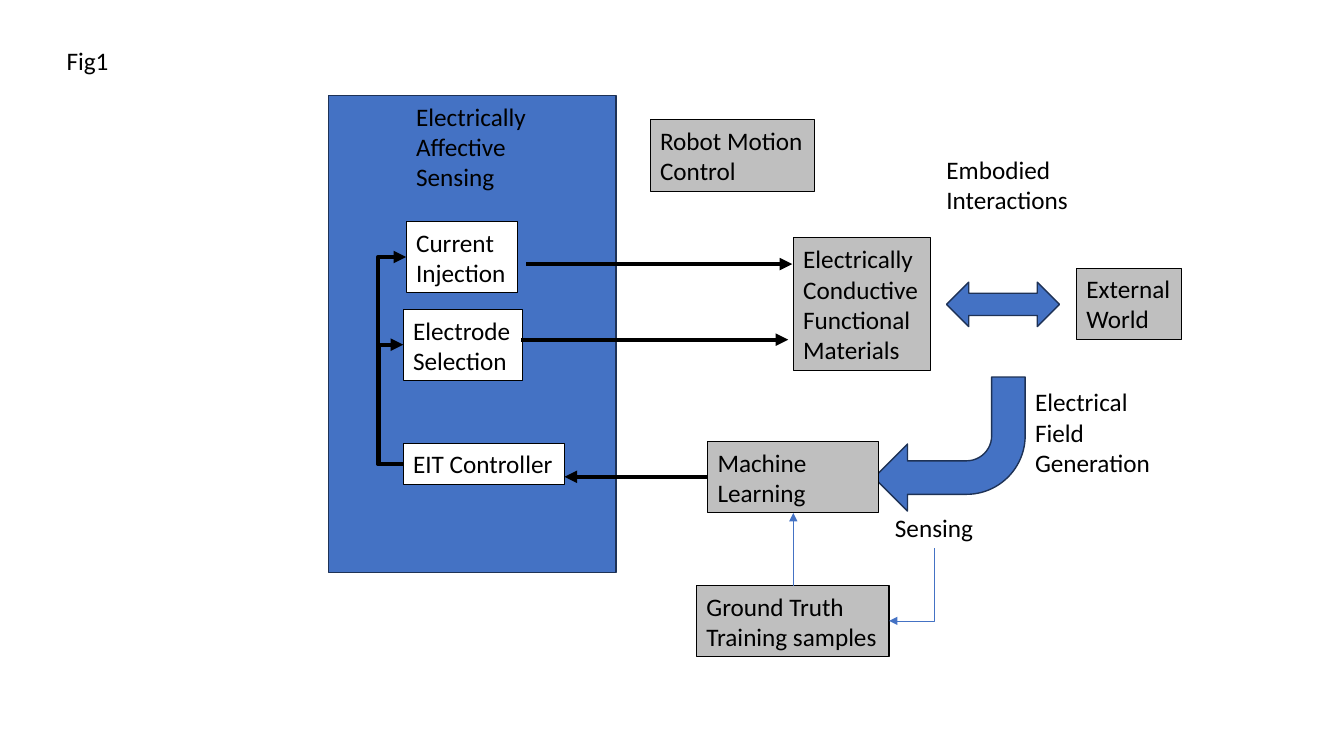
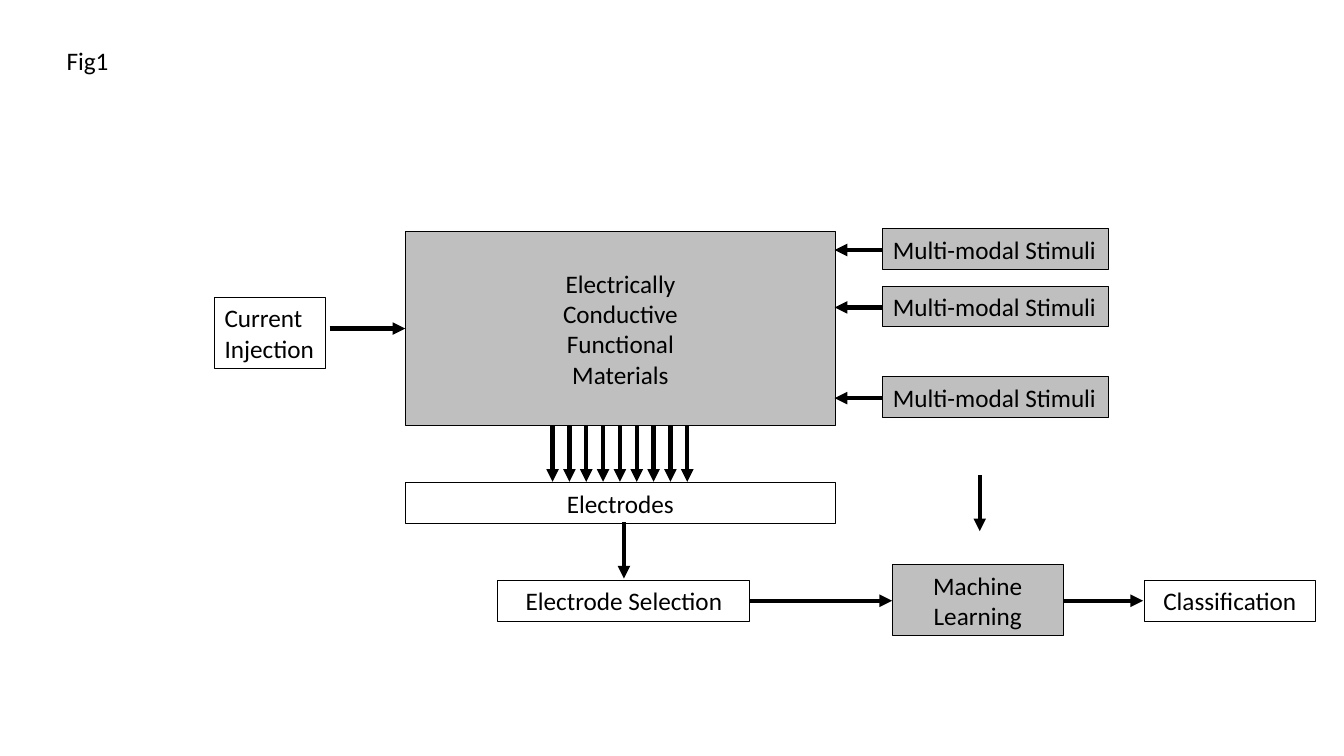
"""Draw two block diagrams of an electrically affective sensing system."""

import dataclasses
import typing

import lxml.etree
import pptx
import pptx.dml.color
import pptx.enum.shapes
import pptx.enum.text
import pptx.oxml.ns
import pptx.slide
import pptx.util

RGBColor = pptx.dml.color.RGBColor
Shape = pptx.enum.shapes.MSO_SHAPE
Align = pptx.enum.text.PP_ALIGN
qn = pptx.oxml.ns.qn

BLACK = RGBColor(0x00, 0x00, 0x00)
WHITE = RGBColor(0xFF, 0xFF, 0xFF)
GRAY = RGBColor(0xBF, 0xBF, 0xBF)
BLUE = RGBColor(0x44, 0x72, 0xC4)
NAVY = RGBColor(0x1E, 0x32, 0x56)

CELL = pptx.util.Inches(0.1)
COLUMNS, ROWS = 133.33, 75
FONT = "Calibri"
FONT_SIZE = pptx.util.Pt(18)
ONE_LINE, TWO_LINES, THREE_LINES, FOUR_LINES = 4.04, 7.07, 10.1, 13.13

Point = tuple[float, float]


@dataclasses.dataclass(frozen=True)
class Block:
    text: str
    column: float
    row: float
    width: float
    height: float = ONE_LINE
    fill: typing.Optional[RGBColor] = None
    wrap: bool = False
    align: Align = Align.LEFT


@dataclasses.dataclass(frozen=True)
class Figure:
    kind: Shape
    column: float
    row: float
    width: float
    height: float
    rotation: float = 0


@dataclasses.dataclass(frozen=True)
class Arrow:
    start: Point
    end: Point
    color: RGBColor = BLACK
    weight: float = 3
    bend: typing.Optional[float] = None
    head: str = "a:tailEnd"


def cells(*counts: float) -> list[int]:
    return [round(count * CELL) for count in counts]


def centred(text: str, column: float, row: float, width: float,
            height: float = ONE_LINE, fill: RGBColor = WHITE) -> Block:
    return Block(text, column, row, width, height, fill, True, Align.CENTER)


def write(frame, text: str, wrap: bool, align: Align) -> None:
    frame.text = text
    frame.word_wrap = wrap
    fit = pptx.enum.text.MSO_AUTO_SIZE
    frame.auto_size = fit.NONE if wrap else fit.SHAPE_TO_FIT_TEXT
    frame.vertical_anchor = pptx.enum.text.MSO_ANCHOR.MIDDLE
    for para in frame.paragraphs:
        para.alignment = align
        for span in para.runs:
            span.font.name = FONT
            span.font.size = FONT_SIZE
            span.font.color.rgb = BLACK


def paint(box, fill: RGBColor, line: RGBColor, weight: float) -> None:
    box.shadow.inherit = False
    box.fill.solid()
    box.fill.fore_color.rgb = fill
    box.line.color.rgb = line
    box.line.width = pptx.util.Pt(weight)


def draw_block(page: pptx.slide.Slide, block: Block) -> None:
    place = cells(block.column, block.row, block.width, block.height)
    if block.fill is None:
        box = page.shapes.add_textbox(*place)
    else:
        box = page.shapes.add_shape(Shape.RECTANGLE, *place)
        paint(box, block.fill, BLACK, 0.75)
    write(box.text_frame, block.text, block.wrap, block.align)


def draw_figure(page: pptx.slide.Slide, figure: Figure) -> None:
    place = cells(figure.column, figure.row, figure.width, figure.height)
    box = page.shapes.add_shape(figure.kind, *place)
    box.rotation = figure.rotation
    paint(box, BLUE, NAVY, 1)


def draw_arrow(page: pptx.slide.Slide, arrow: Arrow) -> None:
    kinds = pptx.enum.shapes.MSO_CONNECTOR
    kind = kinds.STRAIGHT if arrow.bend is None else kinds.ELBOW
    connector = page.shapes.add_connector(kind, *cells(*arrow.start, *arrow.end))
    connector.line.color.rgb = arrow.color
    connector.line.width = pptx.util.Pt(arrow.weight)
    properties = connector.element.spPr
    lxml.etree.SubElement(properties.find(qn("a:ln")), qn(arrow.head), type="triangle")
    lxml.etree.SubElement(properties, qn("a:effectLst"))
    if arrow.bend is not None:
        share = (arrow.bend - arrow.start[0]) / (arrow.end[0] - arrow.start[0])
        guides = properties.find(".//" + qn("a:avLst"))
        lxml.etree.SubElement(guides, qn("a:gd"), name="adj1",
                              fmla=f"val {round(share * 100000)}")


def add_diagram(deck, title: str, figures: list[Figure],
                blocks: list[Block], arrows: list[Arrow]) -> None:
    page = deck.slides.add_slide(deck.slide_layouts.get_by_name("Title Only"))
    heading = page.shapes.title
    heading.left, heading.top, heading.width, heading.height = cells(5.6, 4, 6.2, ONE_LINE)
    write(heading.text_frame, title, False, Align.LEFT)
    for figure in figures:
        draw_figure(page, figure)
    for block in blocks:
        draw_block(page, block)
    for arrow in arrows:
        draw_arrow(page, arrow)


def add_system(deck) -> None:
    figures = [
        Figure(Shape.RECTANGLE, 32.6, 9.5, 28.5, 47.3),
        Figure(Shape.LEFT_RIGHT_ARROW, 93.9, 28, 11.2, 4.4),
        Figure(Shape.BENT_ARROW, 86.7, 37.4, 15, 13.3, 180),
    ]
    blocks = [
        Block("Embodied\nInteractions", 92.9, 14.8, 14.2, TWO_LINES),
        Block("Electrically\nAffective\nSensing", 40.3, 9.5, 13.6, THREE_LINES),
        Block("Electrical\nField\nGeneration", 101.7, 37.8, 13.6, THREE_LINES),
        Block("Sensing", 87.8, 50.3, 9.9),
        Block("Electrically\nConductive\nFunctional\nMaterials",
              78.7, 23.6, 13.6, FOUR_LINES, GRAY),
        Block("External\nWorld", 106.8, 26.6, 10.4, TWO_LINES, GRAY),
        Block("Robot Motion\nControl", 64.5, 11.9, 16.3, TWO_LINES, GRAY),
        Block("Machine\nLearning", 70.2, 43.8, 17, TWO_LINES, GRAY, True),
        Block("Ground Truth\nTraining samples", 69.1, 58.1, 19.1, TWO_LINES, GRAY),
        Block("Current\nInjection", 40.3, 22, 11, TWO_LINES, WHITE),
        Block("Electrode\nSelection", 40, 30.7, 11.8, TWO_LINES, WHITE),
        Block("EIT Controller", 40, 44, 16, ONE_LINE, WHITE),
    ]
    arrows = [
        Arrow((88.2, 61.6), (92.7, 54.4), BLUE, 0.5, 92.7, "a:headEnd"),
        Arrow((78.7, 58.1), (78.7, 50.9), BLUE, 0.5),
        Arrow((52.2, 26.2), (78.6, 26.2)),
        Arrow((51.7, 33.7), (78.2, 33.7)),
        Arrow((40, 46), (40.3, 25.5), bend=37.5),
        Arrow((39.9, 46), (40, 34.2), bend=37.5),
        Arrow((70.2, 47.3), (56, 47.3)),
    ]
    add_diagram(deck, "Fig1", figures, blocks, arrows)


def add_pipeline(deck) -> None:
    stimulus_rows = (22.7, 28.4, 37.4)
    electrodes, spacing, middle = 9, 1.67, 61.5
    blocks = [
        centred("Electrically\nConductive\nFunctional\nMaterials",
                40.2, 23, 42.7, 19.2, GRAY),
        Block("Current\nInjection", 21.3, 29.5, 11, TWO_LINES, WHITE),
        centred("Electrodes", 40.2, 47.9, 42.7),
        centred("Electrode Selection", 49.4, 57.6, 25),
        centred("Machine\nLearning", 88.5, 56, 17, TWO_LINES, GRAY),
        centred("Classification", 113.5, 57.6, 17),
    ]
    blocks += [Block("Multi-modal Stimuli", 87.6, row, 22.4, ONE_LINE, GRAY)
               for row in stimulus_rows]
    arrows = [
        Arrow((32.7, 32.6), (40.2, 32.6)),
        Arrow((61.9, 51.8), (61.9, 57.4)),
        Arrow((74.4, 59.6), (88.5, 59.6)),
        Arrow((105.5, 59.6), (113.4, 59.6)),
        Arrow((97.2, 47.1), (97.2, 52.7)),
    ]
    arrows += [Arrow((87.6, row + 2.1), (82.8, row + 2.1)) for row in stimulus_rows]
    for index in range(electrodes):
        column = middle + (index - (electrodes - 1) / 2) * spacing
        arrows.append(Arrow((column, 42.2), (column, 47.8)))
    add_diagram(deck, "Fig1", [], blocks, arrows)


def main() -> None:
    deck = pptx.Presentation()
    deck.slide_width, deck.slide_height = cells(COLUMNS, ROWS)
    add_system(deck)
    add_pipeline(deck)
    deck.save("out.pptx")


if __name__ == "__main__":
    main()
